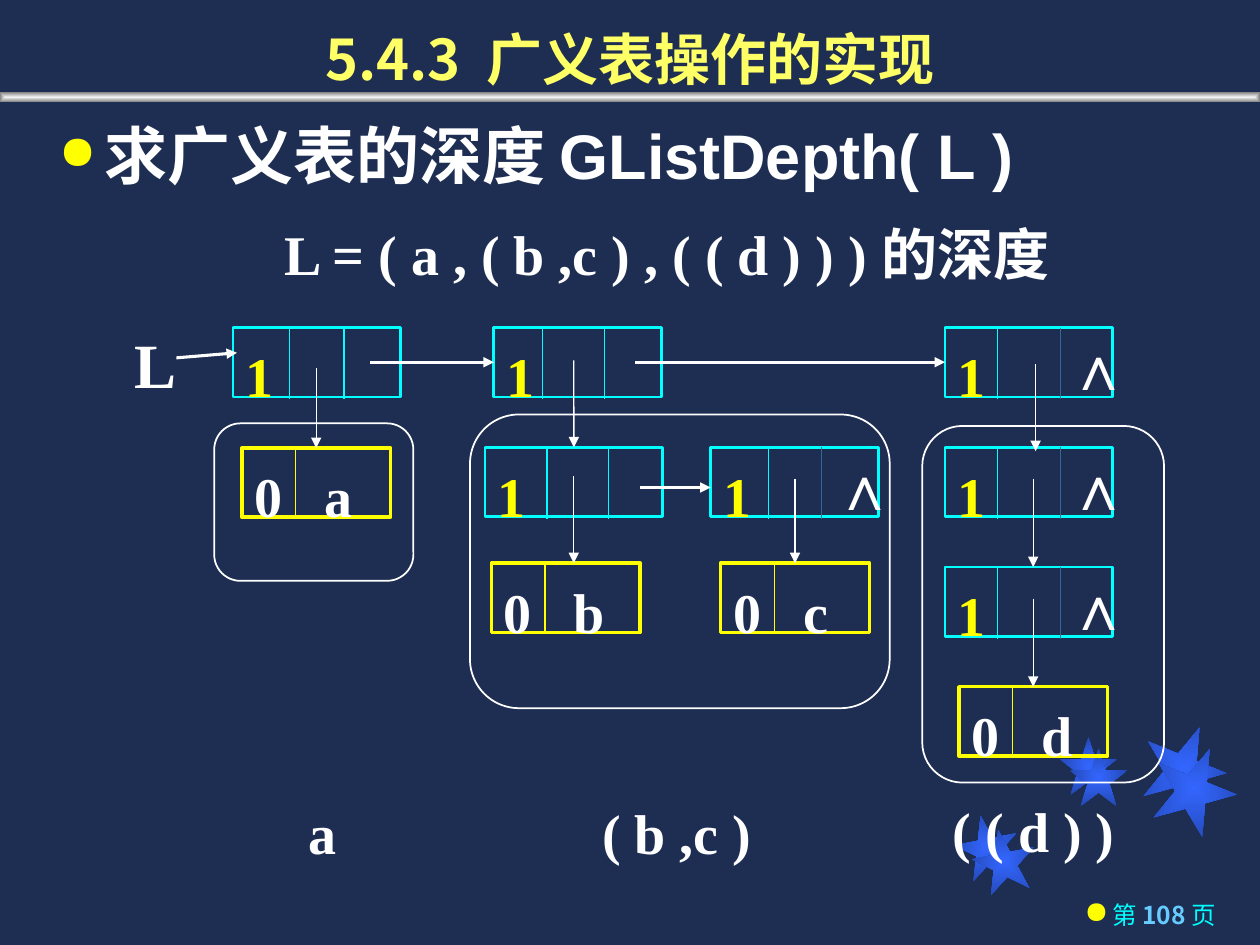
from lxml import etree
from pptx import Presentation
from pptx import util as u
from pptx.dml.color import RGBColor
from pptx.enum import dml, shapes, text
from pptx.oxml.ns import qn

SERIF, SANS, CJK = "Times New Roman", "Arial", "Noto Sans CJK SC"
WHITE, YELLOW, CYAN, DIM = "FFFFFF", "FFFF00", "00FFFF", "336699"
ROW1, ROW2, ROW3 = 187.2, 255.6, 324
NODE_W, LEAF_W, CELL_H = 95.8, 85, 39.6


def pts(*values):
    return [u.Pt(v) for v in values]


def color(value):
    return RGBColor.from_string(value)


def paint_line(line, value, width):
    line.color.rgb = color(value)
    line.width = u.Pt(width)


def add_bullet(p, indent, size):
    pPr = p._p.get_or_add_pPr()
    pPr.set("marL", str(u.Pt(indent)))
    pPr.set("indent", str(-u.Pt(indent)))
    clr = etree.SubElement(pPr, qn("a:buClr"))
    etree.SubElement(clr, qn("a:srgbClr"), val=YELLOW)
    etree.SubElement(pPr, qn("a:buSzPct"), val=str(size * 1000))
    etree.SubElement(pPr, qn("a:buChar"), char="●")


def add_run(p, words, size=32, name=SERIF, fill=WHITE, bold=True):
    r = p.add_run()
    r.text = words
    for key, value in dict(size=u.Pt(size), name=name, bold=bold).items():
        setattr(r.font, key, value)
    r.font.color.rgb = color(fill)
    etree.SubElement(r._r.get_or_add_rPr(), qn("a:ea"), typeface=CJK)


def frame_paragraph(sp, top=8, bottom=0, anchor=text.MSO_ANCHOR.TOP,
                    align=text.PP_ALIGN.LEFT):
    """Set the text frame's format and return its first paragraph."""
    tf = sp.text_frame
    values = dict(word_wrap=True, vertical_anchor=anchor, margin_left=u.Pt(7.2),
                  margin_right=u.Pt(7.2), margin_top=u.Pt(top),
                  margin_bottom=u.Pt(bottom))
    for key, value in values.items():
        setattr(tf, key, value)
    p = tf.paragraphs[0]
    p.alignment = align
    return p


def add_text(s, box, **frame):
    return frame_paragraph(s.shapes.add_textbox(*pts(*box)), **frame)


def add_outline(s, kind, box, line, width):
    sp = s.shapes.add_shape(kind, *pts(*box))
    sp.shadow.inherit = False
    sp.fill.background()
    paint_line(sp.line, line, width)
    return sp


def add_gradient(s, kind, box, inner, outer, rotation=0):
    """Shape shaded from its centre to its edge."""
    sp = s.shapes.add_shape(kind, *pts(*box))
    sp.shadow.inherit = False
    sp.rotation = rotation
    sp.line.fill.background()
    sp.fill.gradient()
    for stop, value in zip(sp.fill.gradient_stops, (inner, outer)):
        stop.color.rgb = color(value)
    grad = sp._element.spPr.find(qn("a:gradFill"))
    grad.remove(grad.find(qn("a:lin")))
    shade = etree.SubElement(grad, qn("a:path"), {"path": "shape"})
    etree.SubElement(shade, qn("a:fillToRect"), dict.fromkeys("ltrb", "50000"))


def add_line(s, x1, y1, x2, y2, value, width=0.75):
    cxn = s.shapes.add_connector(shapes.MSO_CONNECTOR.STRAIGHT, *pts(x1, y1, x2, y2))
    paint_line(cxn.line, value, width)
    etree.SubElement(cxn._element.spPr, qn("a:effectLst"))
    return cxn


def add_arrow(s, start, end, width=0.75, target=None, side=0):
    cxn = add_line(s, *start, *end, WHITE, width)
    etree.SubElement(cxn.line._get_or_add_ln(), qn("a:tailEnd"), type="triangle")
    if target is not None:
        cxn.end_connect(target, side)


def add_node(s, x, y, first=30.2, second=66.2, width=NODE_W, last=False):
    """List node: tag 1 and two pointer cells; the last one ends in ∧."""
    sp = add_outline(s, shapes.MSO_SHAPE.RECTANGLE, (x, y, width, CELL_H), CYAN, 1.5)
    add_run(frame_paragraph(sp), "1", fill=YELLOW)
    for dx, value in ((first, CYAN), (second, DIM if last else CYAN)):
        add_line(s, x + dx, y, x + dx, y + 41, value)
    if last:
        p = add_text(s, (x + 63, y - 5.8, 52, 50), top=6)
        add_run(p, "∧", size=36, bold=False)
    return sp


def add_leaf(s, x, y, atom):
    """Atom node: tag 0 and the atom."""
    sp = add_outline(s, shapes.MSO_SHAPE.RECTANGLE, (x, y, LEAF_W, CELL_H), YELLOW, 2)
    p = frame_paragraph(sp)
    tabs = etree.SubElement(p._p.get_or_add_pPr(), qn("a:tabLst"))
    etree.SubElement(tabs, qn("a:tab"), pos=str(u.Pt(40)), algn="l")
    add_run(p, f"0\t{atom}")
    add_line(s, x + 30.6, y, x + 30.6, y + CELL_H, YELLOW)
    return sp


def add_backdrop(s):
    s.background.fill.solid()
    s.background.fill.fore_color.rgb = color("1E2E53")
    for x, y, size, rotation in (
            (545.8, 465.8, 36, 349), (605.5, 421.2, 33, 0), (652.3, 414, 48.2, 22),
            (555.8, 473.8, 36, 349), (611.3, 427.7, 33, 0), (658.1, 426.2, 48.2, 22)):
        add_gradient(s, shapes.MSO_SHAPE.STAR_5_POINT, (x, y, size, size),
                     "3366FF", "2449B6", rotation)
    add_gradient(s, shapes.MSO_SHAPE.RECTANGLE, (0, 52.6, 720, 5.8), "F2F2F2", "808080")


def add_headings(s):
    p = add_text(s, (0, 0, 720, 54), top=3.6, bottom=1.5,
                 anchor=text.MSO_ANCHOR.BOTTOM, align=text.PP_ALIGN.CENTER)
    add_run(p, "5.4.3  ", name=CJK, fill="FFFF66")
    add_run(p, "广义表操作的实现", fill="FFFF66")

    p = add_text(s, (26.6, 71.3, 669.6, 46), top=0)
    p.line_spacing = 0.9
    add_bullet(p, 26, 75)
    add_run(p, "求广义表的深度 GListDepth( L )", size=36, name=SANS)

    p = add_text(s, (19.4, 125.3, 689.8, 45.4), top=0)
    p._p.get_or_add_pPr().set("marL", str(u.Pt(136)))
    add_run(p, "L = ( a , ( b ,c ) , ( ( d ) ) ) 的深度")

    p = add_text(s, (512.6, 514, 189.4, 26), top=0, align=text.PP_ALIGN.RIGHT)
    add_bullet(p, 16, 125)
    for words, fill, bold in (("第 ", CYAN, False), ("108 ", "66CCFF", True),
                              ("页", CYAN, False)):
        add_run(p, words, size=14, name=CJK, fill=fill, bold=bold)


def add_sublists(s):
    for box in ((268.6, 236.9, 239.8, 167.8), (122.4, 241.9, 113.8, 90),
                (527, 243.4, 138.2, 203.8)):
        add_outline(s, shapes.MSO_SHAPE.FLOWCHART_ALTERNATE_PROCESS, box, WHITE, 1)
    for words, box, top, align in (
            ("a", (169.2, 443.5, 42.5, 55), 13, text.PP_ALIGN.LEFT),
            ("( b ,c )", (337, 443.5, 110, 55), 13, text.PP_ALIGN.LEFT),
            ("( ( d ) )", (529.2, 447.1, 123.1, 45.4), 8, text.PP_ALIGN.CENTER)):
        add_run(add_text(s, box, top=top, align=align), words)


def add_linked_list(s):
    add_run(add_text(s, (69.8, 177.8, 42, 50)), "L", size=36)
    add_node(s, 133.2, ROW1, 32.4, 63.4)
    head2 = add_node(s, 282.2, ROW1, 28, 63.4)
    head3 = add_node(s, 540, ROW1, last=True)
    sub_b = add_node(s, 277.2, ROW2, 35.3, 70.6, width=101.5)
    add_node(s, 406.1, ROW2, 33.1, 63.4, last=True)
    for y in (ROW2, ROW3):
        add_node(s, 540, y, last=True)
    leaf_a = add_leaf(s, 138.2, 256, "a")
    add_leaf(s, 280.8, 321.8, "b")
    leaf_c = add_leaf(s, 411.8, 321.8, "c")
    leaf_d = add_leaf(s, 547.9, 392.4, "d")

    add_arrow(s, (100.8, 204.5), (135.4, 201.6), 1.75)
    add_arrow(s, (211.7, 207), (282.2, 207), 1.75, head2, 1)
    add_arrow(s, (362.9, 207), (540, 207), 1.75, head3, 1)
    add_arrow(s, (365.8, 278.6), (406.1, 278.6), 1.75)
    add_arrow(s, (180.7, 210.2), (180.7, 256), target=leaf_a)
    add_arrow(s, (327.9, 205.9), (327.9, ROW2), target=sub_b)
    add_arrow(s, (327.9, 272.2), (327.9, 321.8))
    add_arrow(s, (454.3, 273.6), (454.3, 321.8), target=leaf_c)
    add_arrow(s, (591.8, 208.1), (591.8, 257.8))
    add_arrow(s, (590.4, 273.6), (590.4, ROW3))
    add_arrow(s, (590.4, 342), (590.4, 392.4), target=leaf_d)


def main():
    prs = Presentation()
    prs.slide_width, prs.slide_height = pts(720, 540)
    s = prs.slides.add_slide(prs.slide_layouts[6])
    add_backdrop(s)
    add_headings(s)
    add_sublists(s)
    add_linked_list(s)
    prs.save("out.pptx")


if __name__ == "__main__":
    main()
